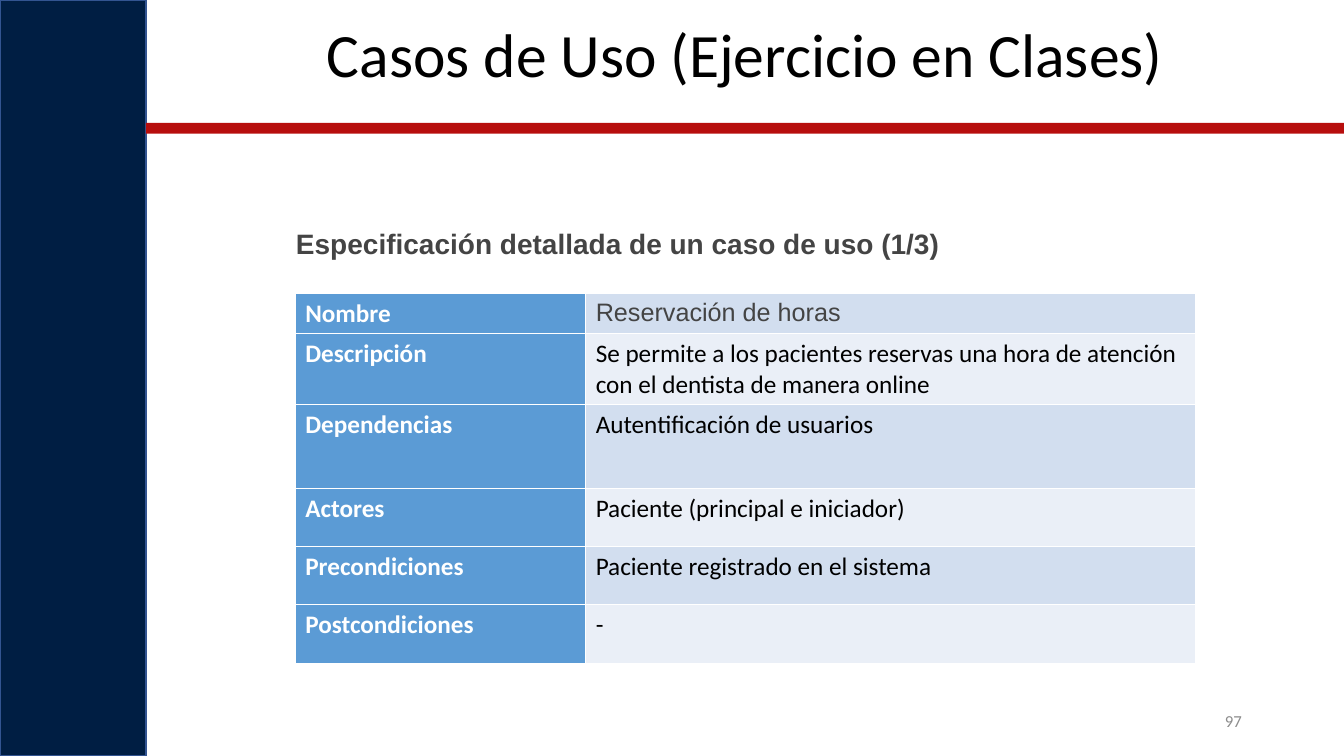
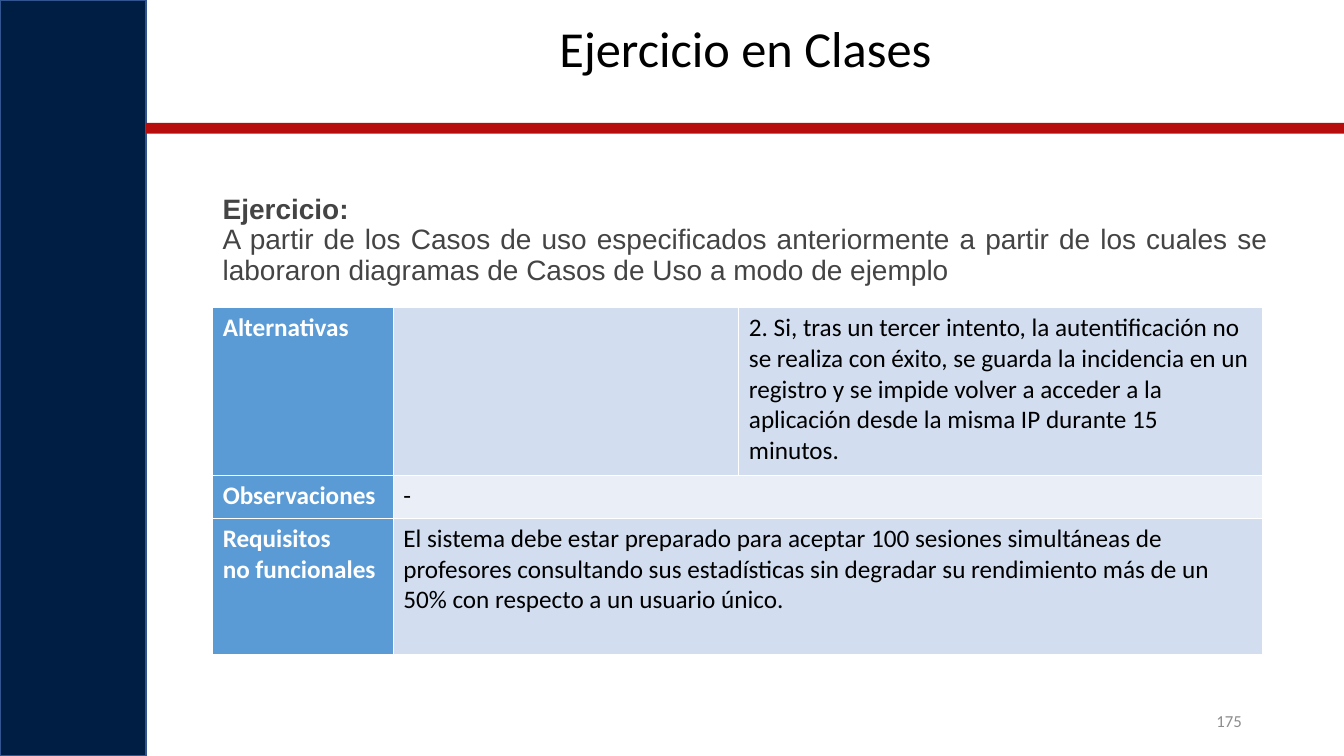
import lxml.etree
import pptx
import pptx.dml.color
import pptx.enum.shapes
import pptx.enum.text
import pptx.oxml
import pptx.oxml.ns
import pptx.util

Cm = pptx.util.Cm
Pt = pptx.util.Pt
ALIGN = pptx.enum.text.PP_ALIGN
ANCHOR = pptx.enum.text.MSO_ANCHOR

WIDTH, HEIGHT = 33.87, 19.05
SIDE_WIDTH = 3.68
NAVY, RED, EDGE = "001E43", "B70E0D", "325491"
BLACK, WHITE, DARK, GREY = "000000", "FFFFFF", "444444", "8C8C8C"
LABEL_FILL, BAND_FILLS = "5B9BD5", ("D2DEEF", "EAEFF7")


def rgb(color):
    return pptx.dml.color.RGBColor.from_string(color)


class Deck:
    """Holds the shared style and the slide being built."""

    def __init__(self):
        self.prs = pptx.Presentation()
        self.prs.slide_width, self.prs.slide_height = Cm(WIDTH), Cm(HEIGHT)
        self.s = None

    def format(self, p, size, color, font="Calibri", bold=False, align=ALIGN.LEFT, spacing=None):
        p.alignment = align
        p.line_spacing = spacing
        for r in p.runs:
            r.font.name, r.font.size, r.font.bold = font, Pt(size), bold
            r.font.color.rgb = rgb(color)

    def slide(self, title, title_size, number):
        self.s = self.prs.slides.add_slide(self.prs.slide_layouts[5])
        self.band(0, 0, SIDE_WIDTH, HEIGHT, NAVY, EDGE)
        self.band(SIDE_WIDTH, 3.1, WIDTH - SIDE_WIDTH, 0.27, RED)
        self.title(title, title_size)
        self.number(number)

    def band(self, x, y, w, h, fill, line=None):
        sp = self.s.shapes.add_shape(pptx.enum.shapes.MSO_SHAPE.RECTANGLE, Cm(x), Cm(y), Cm(w), Cm(h))
        sp.shadow.inherit = False
        sp.fill.solid()
        sp.fill.fore_color.rgb = rgb(fill)
        if line:
            sp.line.color.rgb = rgb(line)
            sp.line.width = Pt(1)
        else:
            sp.line.fill.background()

    def title(self, text, size):
        sp = self.s.shapes.title
        sp.left, sp.top, sp.width, sp.height = Cm(3.89), Cm(0.48), Cm(29.79), Cm(2.16)
        tf = sp.text_frame
        tf.text = text
        tf.auto_size = pptx.enum.text.MSO_AUTO_SIZE.NONE
        tf.vertical_anchor = ANCHOR.TOP
        self.format(tf.paragraphs[0], size, BLACK, align=ALIGN.CENTER, spacing=0.9)

    def textbox(self, x, y, w, h, text):
        tf = self.s.shapes.add_textbox(Cm(x), Cm(y), Cm(w), Cm(h)).text_frame
        tf.word_wrap = True
        tf.text = text
        return tf

    def number(self, number):
        tf = self.textbox(23.93, 17.65, 7.62, 1.02, str(number))
        tf.vertical_anchor = ANCHOR.MIDDLE
        self.format(tf.paragraphs[0], 12, GREY, align=ALIGN.RIGHT)

    def intro(self, x, y, w, h, text):
        """Adds justified text whose first paragraph is bold."""
        tf = self.textbox(x, y, w, h, text)
        for i, p in enumerate(tf.paragraphs):
            self.format(p, 20, DARK, "Arial", i == 0, ALIGN.JUSTIFY, 0.9)

    def cell(self, cell, text, fill, color, bold):
        tcPr = cell._tc.get_or_add_tcPr()
        for side in ("lnL", "lnR", "lnT", "lnB"):
            tcPr.append(pptx.oxml.parse_xml(
                f'<a:{side} {pptx.oxml.ns.nsdecls("a")} w="12700"><a:solidFill>'
                f'<a:srgbClr val="{WHITE}"/></a:solidFill></a:{side}>'))
        cell.fill.solid()
        cell.fill.fore_color.rgb = rgb(fill)
        cell.text = text
        for p in cell.text_frame.paragraphs:
            self.format(p, 18, color, bold=bold)

    def table(self, x, y, widths, heights, rows):
        """Adds a table with a label column; None joins a cell to the one on its left."""
        table = self.s.shapes.add_table(len(rows), len(widths), Cm(x), Cm(y),
                                        Cm(sum(widths)), Cm(sum(heights))).table
        table.first_row = table.horz_banding = False
        for column, width in zip(table.columns, widths):
            column.width = Cm(width)
        for i, (height, texts) in enumerate(zip(heights, rows)):
            table.rows[i].height = Cm(height)
            for j, text in enumerate(texts):
                label = j == 0
                self.cell(table.cell(i, j), text or "", LABEL_FILL if label else BAND_FILLS[i % 2],
                          WHITE if label else BLACK, label)
                if text is None:
                    table.cell(i, j - 1).merge(table.cell(i, j))
        return table


def main():
    deck = Deck()

    deck.slide("Casos de Uso (Ejercicio en Clases)", 44, 97)
    deck.intro(7.21, 5.69, 17.09, 1.19, "Especificación detallada de un caso de uso (1/3)")
    table = deck.table(7.44, 7.39, (7.32, 15.37), (1.02, 1.78, 2.11, 1.47, 1.47, 1.47), [
        ("Nombre", "Reservación de horas"),
        ("Descripción", "Se permite a los pacientes reservas una hora de atención con el dentista de manera online"),
        ("Dependencias", "Autentificación de usuarios"),
        ("Actores", "Paciente (principal e iniciador)"),
        ("Precondiciones", "Paciente registrado en el sistema"),
        ("Postcondiciones", "-"),
    ])
    deck.format(table.cell(0, 1).text_frame.paragraphs[0], 18, DARK, "Arial", align=ALIGN.JUSTIFY)

    deck.slide("Ejercicio en Clases", 36, 175)
    deck.intro(5.36, 4.8, 26.85, 2.51,
               "Ejercicio:\nA partir de los Casos de uso especificados anteriormente a partir de los cuales "
               "se laboraron diagramas de Casos de Uso a modo de ejemplo")
    deck.table(5.36, 7.75, (4.55, 8.71, 13.21), (4.24, 1.07, 3.43), [
        ("Alternativas", "",
         "2. Si, tras un tercer intento, la autentificación no se realiza con éxito, se guarda la incidencia "
         "en un registro y se impide volver a acceder a la aplicación desde la misma IP durante 15 minutos."),
        ("Observaciones", "-", None),
        ("Requisitos\nno funcionales",
         "El sistema debe estar preparado para aceptar 100 sesiones simultáneas de profesores consultando sus "
         "estadísticas sin degradar su rendimiento más de un 50% con respecto a un usuario único.", None),
    ])

    deck.prs.save("out.pptx")


if __name__ == "__main__":
    main()
